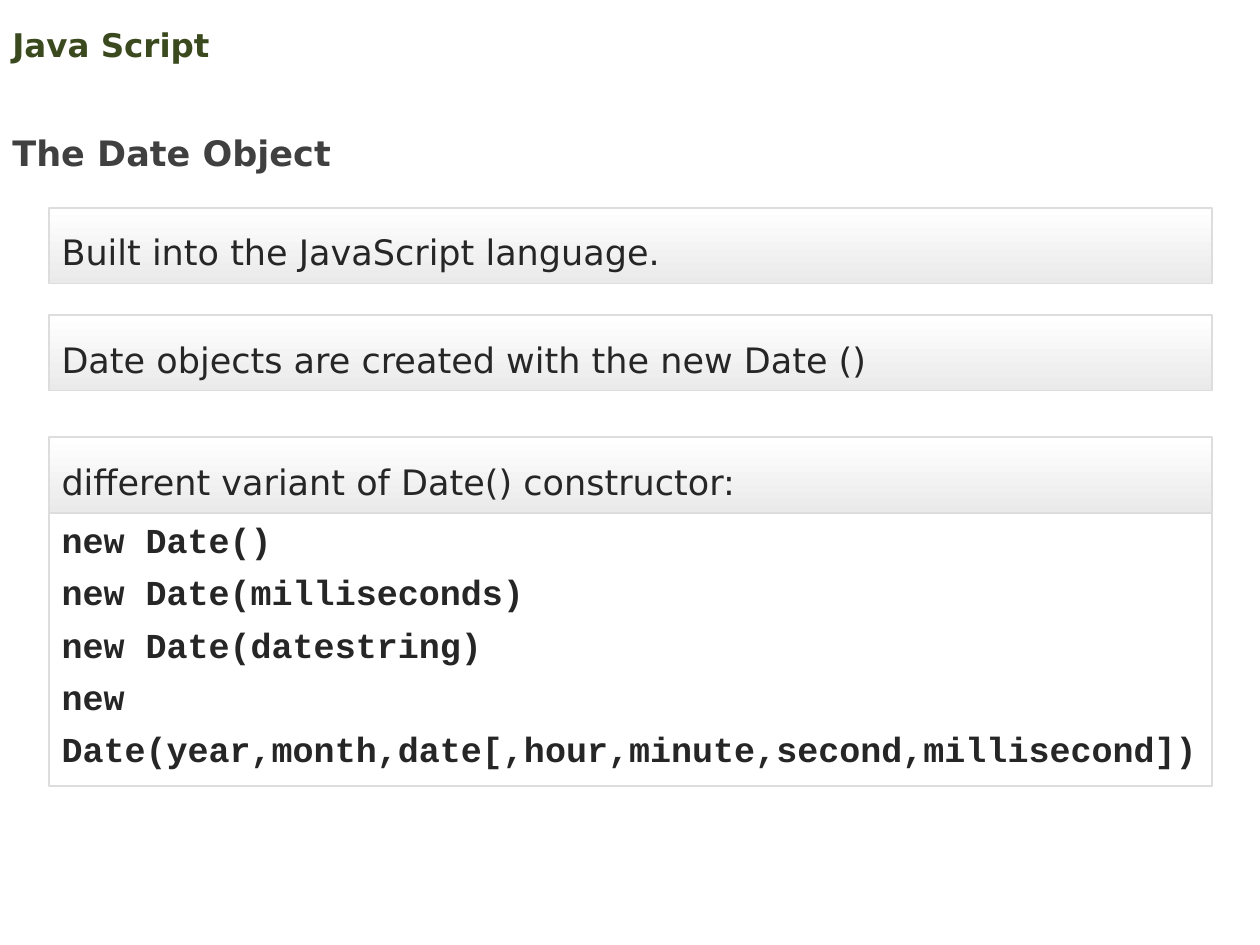
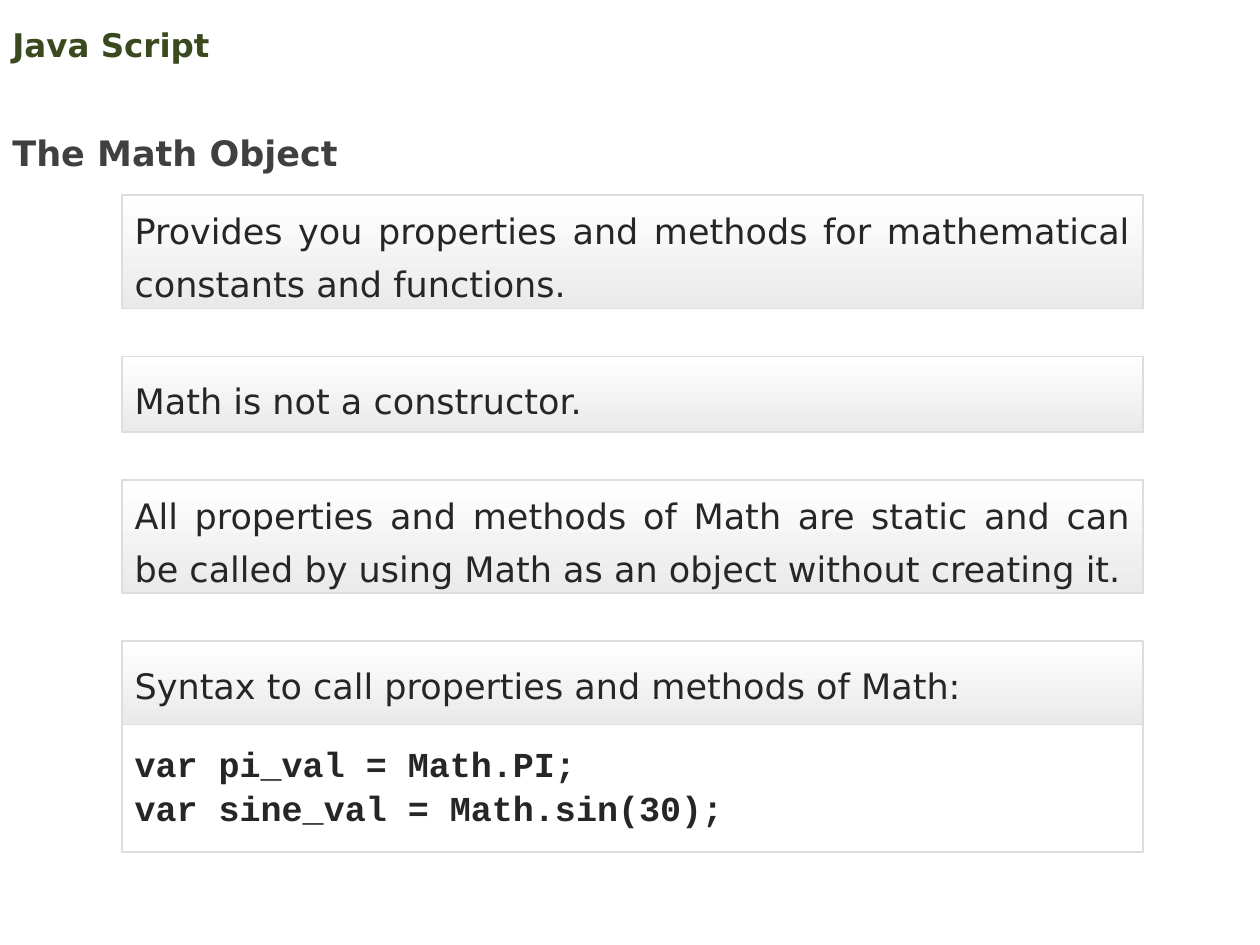
from pptx import Presentation
from pptx.dml.color import RGBColor
from pptx.enum.shapes import MSO_SHAPE
from pptx.enum.text import MSO_ANCHOR, MSO_AUTO_SIZE, PP_ALIGN
from pptx.util import Inches, Pt

SANS = "DejaVu Sans"
MONO = "Courier New"
COURSE_GREEN = "3B4A1E"
TOPIC_GRAY = "404040"
BODY_GRAY = "262626"
BORDER = "DDDDDD"
BAR_TOP = "FFFFFF"
BAR_BOTTOM = "EAEAEA"
BAR_HEIGHT = 0.6


def color(value):
    return RGBColor.from_string(value)


def write(shape, text, font=SANS, size=20, ink=BODY_GRAY, bold=False,
          align=PP_ALIGN.LEFT, anchor=MSO_ANCHOR.TOP, spacing=None, inset=0.1):
    frame = shape.text_frame
    frame.word_wrap = True
    frame.vertical_anchor = anchor
    frame.margin_left = frame.margin_right = Inches(0.1)
    frame.margin_top = frame.margin_bottom = Inches(inset)
    for index, line in enumerate(text.split("\n")):
        paragraph = frame.add_paragraph() if index else frame.paragraphs[0]
        paragraph.alignment = align
        paragraph.line_spacing = spacing
        run = paragraph.add_run()
        run.text = line
        run.font.name = font
        run.font.size = Pt(size)
        run.font.bold = bold
        run.font.color.rgb = color(ink)


def add_panel(slide, box):
    panel = slide.shapes.add_shape(MSO_SHAPE.RECTANGLE, *map(Inches, box))
    panel.shadow.inherit = False
    panel.fill.background()
    panel.line.color.rgb = color(BORDER)
    panel.line.width = Pt(1)
    return panel


def add_bar(slide, box, text, **style):
    bar = add_panel(slide, box)
    bar.fill.gradient()
    bar.fill.gradient_angle = 270
    for stop, tint in zip(bar.fill.gradient_stops, (BAR_TOP, BAR_BOTTOM)):
        stop.color.rgb = color(tint)
    write(bar, text, spacing=Pt(30), **style)


def add_code(slide, box, code, line_height, **style):
    write(add_panel(slide, box), code, font=MONO, bold=True,
          anchor=MSO_ANCHOR.MIDDLE, spacing=Pt(line_height), **style)


def add_headings(slide, topic):
    course = slide.shapes.add_textbox(0, Inches(0.14), Inches(9), Inches(0.43))
    write(course, "Java Script", size=18.6, ink=COURSE_GREEN, bold=True,
          anchor=MSO_ANCHOR.MIDDLE, inset=0.05)
    heading = slide.shapes.add_textbox(0, Inches(0.83), Inches(5.45), Inches(0.6))
    write(heading, topic, ink=TOPIC_GRAY, bold=True, spacing=1.5, inset=0.05)
    heading.text_frame.auto_size = MSO_AUTO_SIZE.SHAPE_TO_FIT_TEXT


def build_date_slide(slide, left=0.39, width=9.23):
    add_headings(slide, "The Date Object")
    add_code(slide, (left, 3.9, width, 2.34),
             "new Date()\n"
             "new Date(milliseconds)\n"
             "new Date(datestring)\n"
             "new Date(year,month,date[,hour,minute,second,millisecond])",
             line_height=30)
    for top, statement in (
        (1.65, "Built into the JavaScript language."),
        (2.5, "Date objects are created with the new Date ()"),
        (3.47, "different variant of Date() constructor:"),
    ):
        add_bar(slide, (left, top, width, BAR_HEIGHT), statement)


def build_math_slide(slide, left=0.97, width=8.1):
    add_headings(slide, "The Math Object")
    add_code(slide, (left, 5.7, width, 1.06),
             "var pi_val = Math.PI;\nvar sine_val = Math.sin(30);",
             line_height=25, align=PP_ALIGN.JUSTIFY)
    top, gap = 1.55, 0.38
    for height, anchor, statement in (
        (0.9, MSO_ANCHOR.MIDDLE, "Provides you properties and methods for "
                                 "mathematical constants and functions."),
        (BAR_HEIGHT, MSO_ANCHOR.TOP, "Math is not a constructor."),
        (0.9, MSO_ANCHOR.MIDDLE, "All properties and methods of Math are static and can "
                                 "be called by using Math as an object without creating it."),
        (0.66, MSO_ANCHOR.TOP, "Syntax to call properties and methods of Math:"),
    ):
        add_bar(slide, (left, top, width, height), statement,
                align=PP_ALIGN.JUSTIFY, anchor=anchor)
        top += height + gap


def main():
    deck = Presentation()
    deck.slide_width = Inches(10)
    deck.slide_height = Inches(7.5)
    for build in (build_date_slide, build_math_slide):
        build(deck.slides.add_slide(deck.slide_layouts[6]))
    deck.save("out.pptx")


if __name__ == "__main__":
    main()
